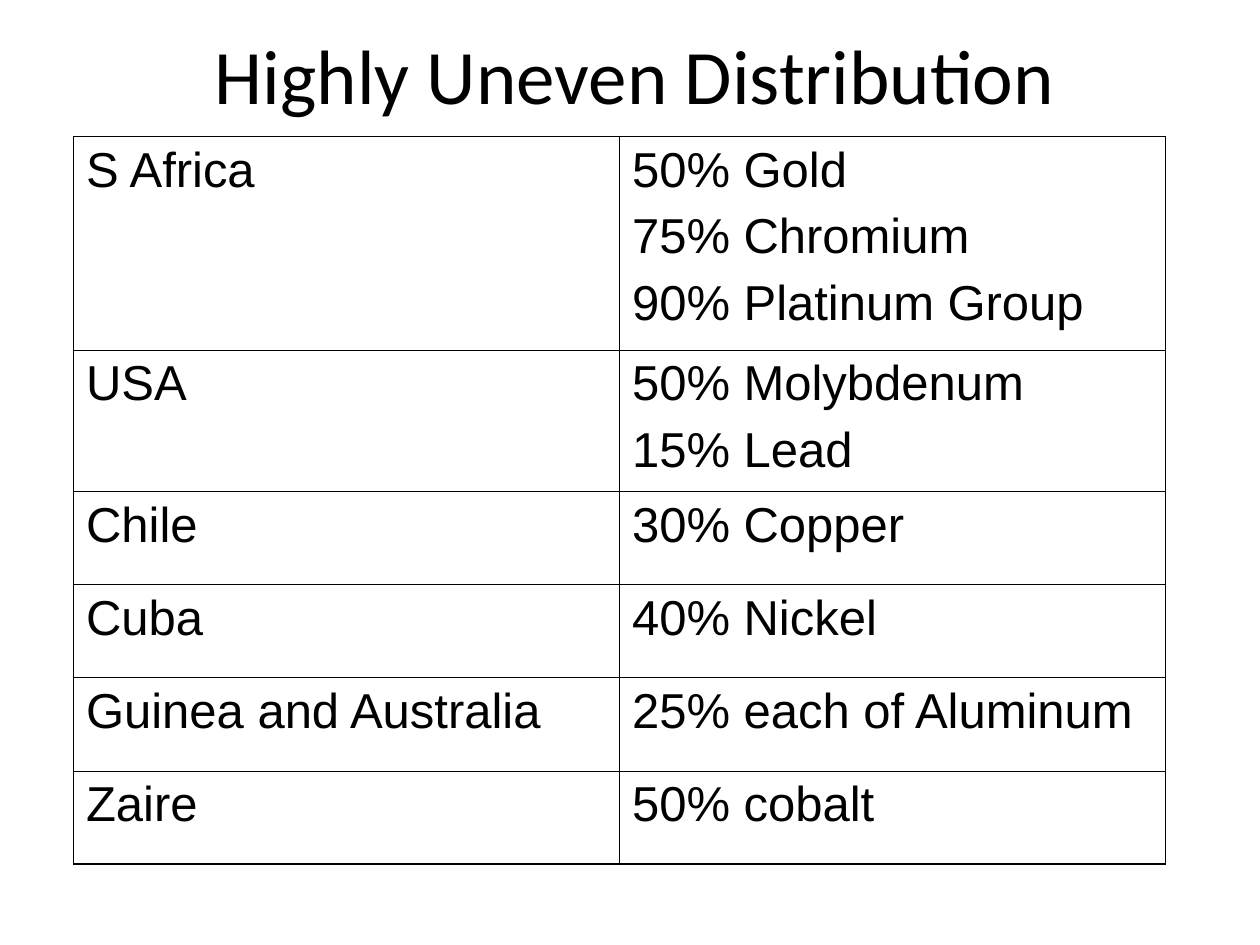
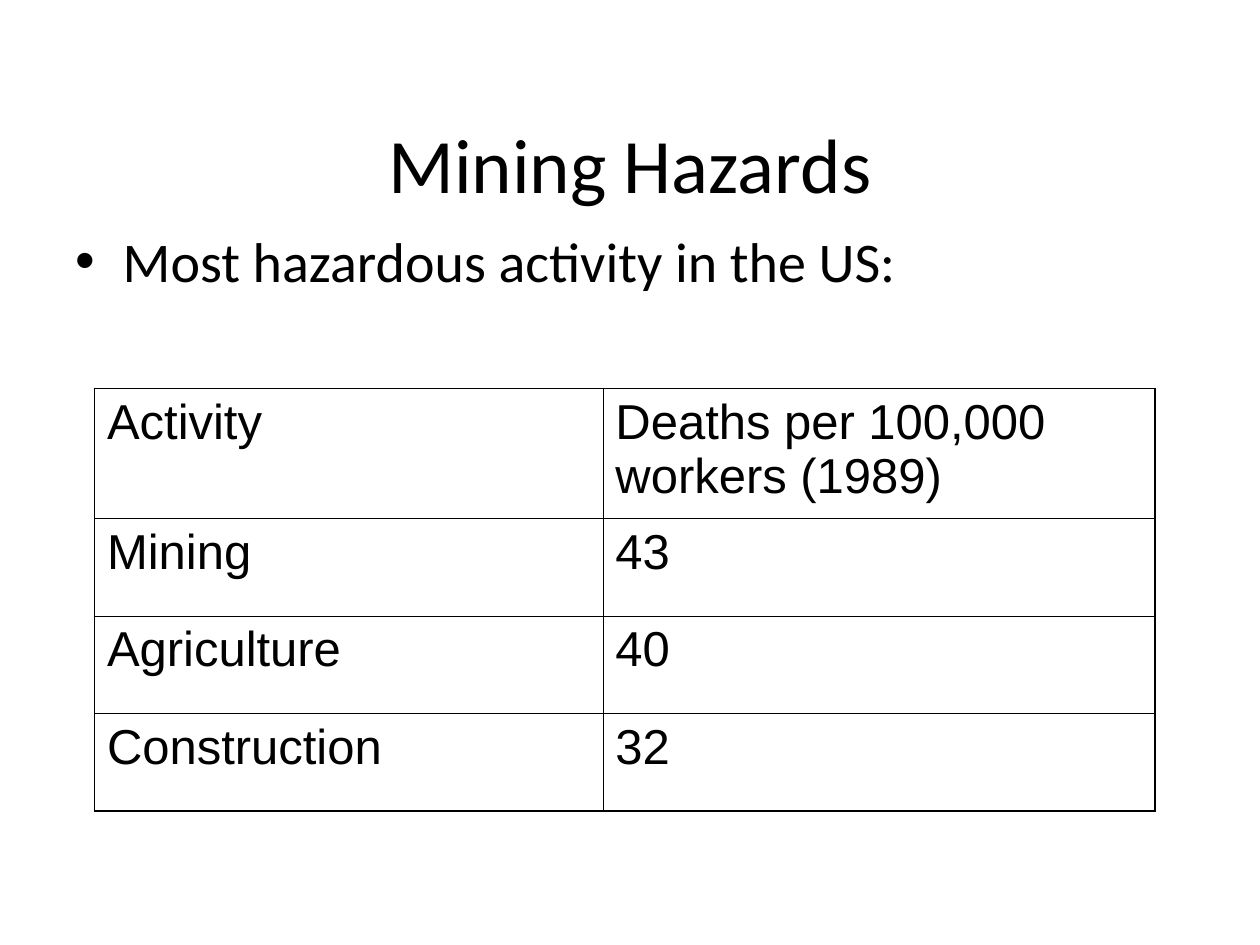
from lxml import etree
from pptx import Presentation
from pptx.dml.color import RGBColor
from pptx.enum.text import MSO_ANCHOR, PP_ALIGN
from pptx.oxml.ns import qn
from pptx.util import Pt

MIDDLE = MSO_ANCHOR.MIDDLE
CENTER = PP_ALIGN.CENTER

BLACK = RGBColor(0x00, 0x00, 0x00)
TITLE_ONLY = 5
OUTER_LINE = Pt(1.08)
INNER_LINE = Pt(0.45)

TITLE_FONT = {"name": "Calibri", "size": Pt(44), "bold": False}
BULLET_FONT = {"name": "Calibri", "size": Pt(32), "bold": False}
CELL_FONT = {"name": "Arial", "size": Pt(28), "bold": False}
CELL_MARGINS = {
    "margin_left": Pt(7.2),
    "margin_right": Pt(7.2),
    "margin_top": Pt(3.6),
    "margin_bottom": Pt(3.6),
}

MINERAL_SHARES = [
    ("S Africa", "50% Gold\n75% Chromium\n90% Platinum Group"),
    ("USA", "50% Molybdenum\n15% Lead"),
    ("Chile", "30% Copper"),
    ("Cuba", "40% Nickel"),
    ("Guinea and Australia", "25% each of Aluminum"),
    ("Zaire", "50% cobalt"),
]
DEATH_RATES = [
    ("Activity", "Deaths per 100,000 workers (1989)"),
    ("Mining", "43"),
    ("Agriculture", "40"),
    ("Construction", "32"),
]


def apply_format(target, values):
    for name, value in values.items():
        setattr(target, name, value)


def format_font(paragraph, values):
    apply_format(paragraph.font, values)
    paragraph.font.color.rgb = BLACK


def add_title_slide(presentation, text, left, top, width):
    """Add a title-only slide with its title at the given place."""
    slide = presentation.slides.add_slide(presentation.slide_layouts[TITLE_ONLY])
    title = slide.shapes.title
    apply_format(title, {"left": left, "top": top, "width": width, "height": Pt(60)})
    title.text_frame.text = text
    title.text_frame.vertical_anchor = MIDDLE
    paragraph = title.text_frame.paragraphs[0]
    paragraph.alignment = CENTER
    format_font(paragraph, TITLE_FONT)
    return slide


def add_bullet(slide, text, left, top, width, height):
    frame = slide.shapes.add_textbox(left, top, width, height).text_frame
    frame.word_wrap = True
    paragraph = frame.paragraphs[0]
    paragraph.text = text
    properties = paragraph._p.get_or_add_pPr()
    properties.set("marL", str(Pt(27)))
    properties.set("indent", str(Pt(-27)))
    etree.SubElement(properties, qn("a:buFont"), typeface="Arial")
    etree.SubElement(properties, qn("a:buChar"), char="•")
    format_font(paragraph, BULLET_FONT)


def set_borders(cell, widths):
    """Draw the cell's borders; widths maps each side's tag to a line width."""
    properties = cell._tc.get_or_add_tcPr()
    for tag, width in widths.items():
        line = etree.SubElement(properties, qn(f"a:{tag}"), w=str(width))
        fill = etree.SubElement(line, qn("a:solidFill"))
        etree.SubElement(fill, qn("a:srgbClr"), val=str(BLACK))


def fill_cell(cell, text):
    apply_format(cell, CELL_MARGINS)
    cell.text = text
    for index, paragraph in enumerate(cell.text_frame.paragraphs):
        paragraph.space_before = Pt(7 if index else 0)
        format_font(paragraph, CELL_FONT)


def add_ruled_table(slide, rows, left, top, column_widths, row_heights):
    """Add an unfilled table with a heavier outer frame."""
    last_row, last_column = len(rows) - 1, len(column_widths) - 1
    table = slide.shapes.add_table(
        len(rows), len(column_widths), left, top, sum(column_widths), sum(row_heights)
    ).table
    apply_format(table, {"first_row": False, "horz_banding": False})
    for column, width in zip(table.columns, column_widths):
        column.width = width
    for row, height in zip(table.rows, row_heights):
        row.height = height

    for row_index, texts in enumerate(rows):
        for column_index, text in enumerate(texts):
            cell = table.cell(row_index, column_index)
            fill_cell(cell, text)
            on_edge = {
                "lnL": column_index == 0,
                "lnR": column_index == last_column,
                "lnT": row_index == 0,
                "lnB": row_index == last_row,
            }
            set_borders(
                cell,
                {tag: OUTER_LINE if edge else INNER_LINE for tag, edge in on_edge.items()},
            )
            cell.fill.background()


def main():
    presentation = Presentation()
    presentation.slide_width = Pt(720)
    presentation.slide_height = Pt(540)

    distribution = add_title_slide(
        presentation, "Highly Uneven Distribution", Pt(30), Pt(12), Pt(666)
    )
    add_ruled_table(
        distribution, MINERAL_SHARES, Pt(42), Pt(78),
        [Pt(312)] * 2, [Pt(122), Pt(81)] + [Pt(53.2)] * 4,
    )

    hazards = add_title_slide(presentation, "Mining Hazards", Pt(54), Pt(63), Pt(612))
    add_bullet(
        hazards, "Most hazardous activity in the US:", Pt(36), Pt(126), Pt(648), Pt(356)
    )
    add_ruled_table(
        hazards, DEATH_RATES, Pt(54), Pt(222),
        [Pt(290.5), Pt(315.5)], [Pt(74.2)] + [Pt(55.7)] * 3,
    )

    presentation.save("out.pptx")


if __name__ == "__main__":
    main()
